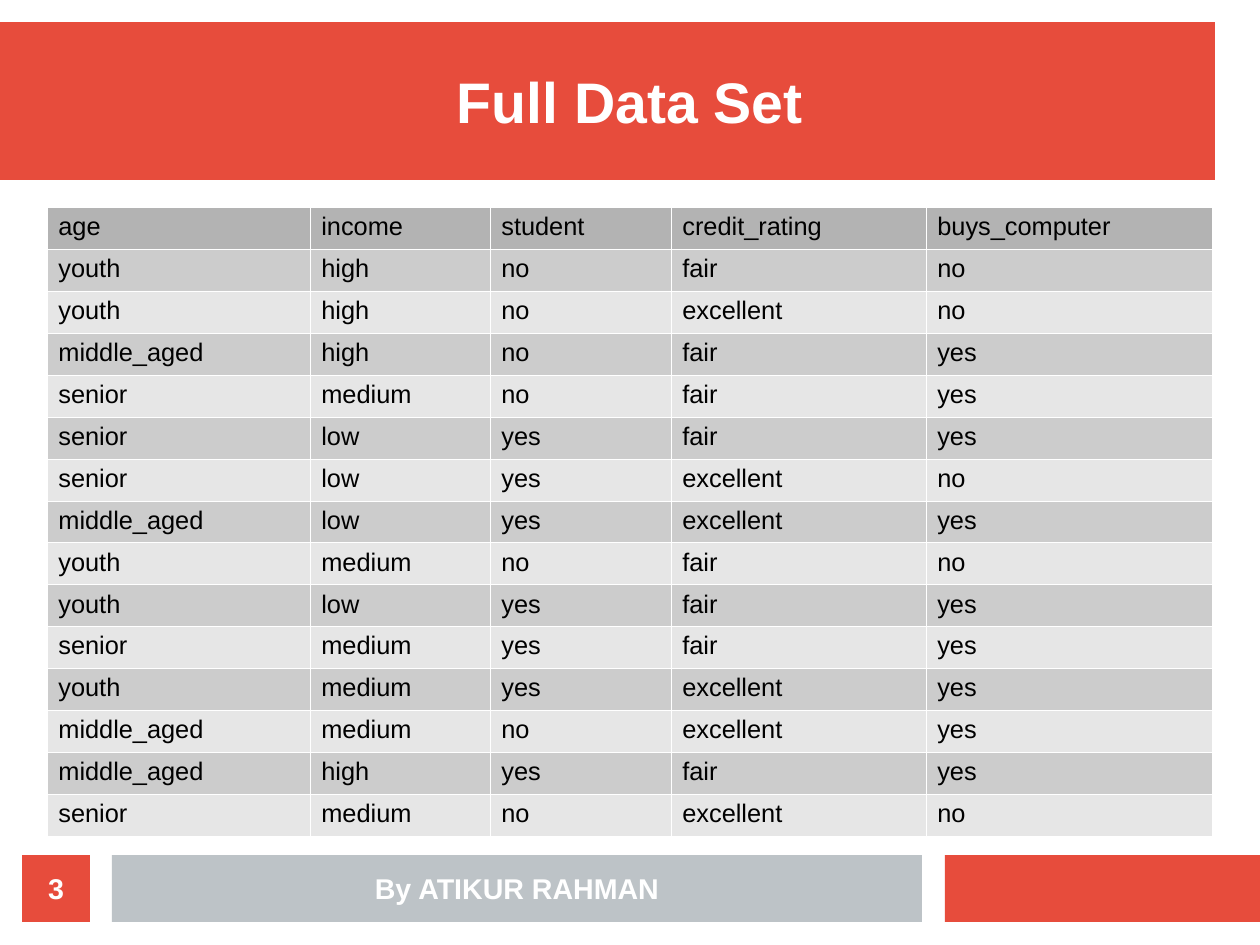
from dataclasses import dataclass

from lxml.etree import SubElement
from pptx import Presentation
from pptx.dml.color import RGBColor
from pptx.enum.shapes import MSO_SHAPE
from pptx.enum.text import MSO_ANCHOR, PP_ALIGN
from pptx.oxml.ns import qn
from pptx.slide import Slide
from pptx.table import _Cell
from pptx.text.text import TextFrame, _Paragraph
from pptx.util import Emu, Pt

EMU_PER_PX = 8000
RED = RGBColor(0xE7, 0x4C, 0x3C)
SILVER = RGBColor(0xBD, 0xC3, 0xC7)
WHITE = RGBColor(0xFF, 0xFF, 0xFF)
BLACK = RGBColor(0x00, 0x00, 0x00)
HEADER_GREY = RGBColor(0xB3, 0xB3, 0xB3)
BAND_GREYS = (RGBColor(0xE6, 0xE6, 0xE6), RGBColor(0xCC, 0xCC, 0xCC))
BORDER_WIDTH = Pt(0.06)
BORDER_TAGS = ("a:lnL", "a:lnR", "a:lnT", "a:lnB")
TABLE_LEFT, TABLE_TOP, TABLE_HEIGHT = 47, 207, 628
COLUMN_WIDTHS = (263, 180, 181, 255, 286)
FRAME_FORMAT = {
    "margin_left": 0,
    "margin_top": 0,
    "margin_right": 0,
    "margin_bottom": 0,
    "vertical_anchor": MSO_ANCHOR.MIDDLE,
    "word_wrap": True,
}
RECORDS = """age income student credit_rating buys_computer
youth high no fair no
youth high no excellent no
middle_aged high no fair yes
senior medium no fair yes
senior low yes fair yes
senior low yes excellent no
middle_aged low yes excellent yes
youth medium no fair no
youth low yes fair yes
senior medium yes fair yes
youth medium yes excellent yes
middle_aged medium no excellent yes
middle_aged high yes fair yes
senior medium no excellent no"""


@dataclass(frozen=True)
class Bar:
    left: int
    top: int
    width: int
    height: int
    color: RGBColor
    text: str = ""


@dataclass(frozen=True)
class Label:
    left: int
    top: int
    width: int
    height: int
    text: str
    size: int


BARS = (
    Bar(0, 22, 1215, 158, RED),
    Bar(945, 855, 315, 67, RED),
    Bar(112, 855, 810, 67, SILVER, "By ATIKUR RAHMAN"),
    Bar(22, 855, 68, 67, RED, "3"),
)
TITLE = Label(203, 45, 854, 112, "Full Data Set", 36)


def px(length: int) -> Emu:
    return Emu(length * EMU_PER_PX)


def write_span(paragraph: _Paragraph, text: str, size: int, color: RGBColor, bold: bool) -> None:
    span = paragraph.add_run()
    span.text = text
    span.font.color.rgb = color
    for name, value in {"name": "Arial", "size": Pt(size), "bold": bold}.items():
        setattr(span.font, name, value)


def write_centered(frame: TextFrame, text: str, size: int) -> None:
    for name, value in FRAME_FORMAT.items():
        setattr(frame, name, value)
    paragraph = frame.paragraphs[0]
    paragraph.alignment = PP_ALIGN.CENTER
    write_span(paragraph, text, size, WHITE, True)


def draw_bar(page: Slide, bar: Bar) -> None:
    box = page.shapes.add_shape(
        MSO_SHAPE.RECTANGLE, px(bar.left), px(bar.top), px(bar.width), px(bar.height)
    )
    box.shadow.inherit = False
    box.fill.solid()
    box.fill.fore_color.rgb = bar.color
    box.line.fill.background()
    if bar.text:
        write_centered(box.text_frame, bar.text, 18)


def draw_label(page: Slide, label: Label) -> None:
    box = page.shapes.add_textbox(
        px(label.left), px(label.top), px(label.width), px(label.height)
    )
    write_centered(box.text_frame, label.text, label.size)


def add_borders(cell: _Cell) -> None:
    properties = cell._tc.get_or_add_tcPr()
    for position, tag in enumerate(BORDER_TAGS):
        line = SubElement(properties, qn(tag), w=str(BORDER_WIDTH))
        fill = SubElement(line, qn("a:solidFill"))
        SubElement(fill, qn("a:srgbClr"), val=str(WHITE))
        properties.insert(position, line)


def draw_table(page: Slide) -> None:
    records = [line.split() for line in RECORDS.splitlines()]
    table = page.shapes.add_table(
        len(records), len(COLUMN_WIDTHS), px(TABLE_LEFT), px(TABLE_TOP),
        px(sum(COLUMN_WIDTHS)), px(TABLE_HEIGHT),
    ).table
    table.first_row = False
    table.horz_banding = False
    for column, width in zip(table.columns, COLUMN_WIDTHS):
        column.width = px(width)
    for index, record in enumerate(records):
        table.rows[index].height = Emu(px(TABLE_HEIGHT) // len(records))
        for cell, text in zip(table.rows[index].cells, record):
            cell.fill.solid()
            cell.fill.fore_color.rgb = BAND_GREYS[index % 2] if index else HEADER_GREY
            write_span(cell.text_frame.paragraphs[0], text, 16, BLACK, False)
            add_borders(cell)


def main() -> None:
    deck = Presentation()
    deck.slide_width, deck.slide_height = px(1260), px(945)
    page = deck.slides.add_slide(deck.slide_layouts[6])
    for bar in BARS:
        draw_bar(page, bar)
    draw_label(page, TITLE)
    draw_table(page)
    deck.save("out.pptx")


if __name__ == "__main__":
    main()
